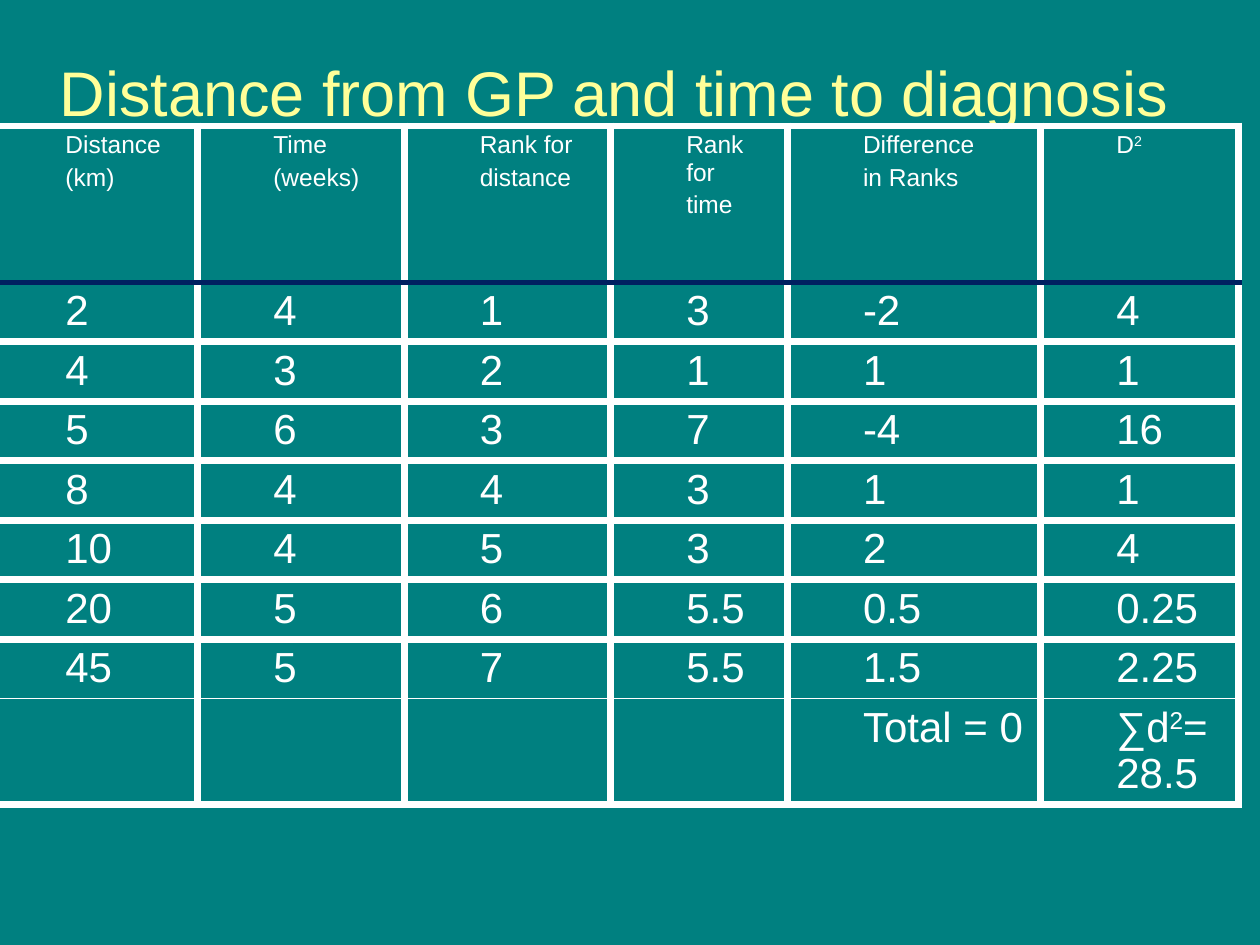
import dataclasses

import lxml.etree
import pptx
import pptx.dml.color
import pptx.enum.text
import pptx.oxml.ns
import pptx.util

Pt = pptx.util.Pt
FONT = "Arial"
COLORS = {"back": "008080", "title": "FFFF99", "text": "FFFFFF", "rule": "002060"}


@dataclasses.dataclass
class Line:
    color: str
    width: float


@dataclasses.dataclass
class Band:
    """One table row; ^ marks the start and end of a superscript."""
    cells: list[str]
    height: float
    size: float
    gap: float
    top: Line
    base: Line


THICK = Line("text", 4.48)
THIN = Line("text", 0.96)
NAVY = Line("rule", 3)

HEADS = ["Distance\n(km)", "Time\n(weeks)", "Rank for\ndistance",
         "Rank for\ntime", "Difference\nin Ranks", "D^2^"]
RANKS = [
    ["2", "4", "1", "3", "-2", "4"],
    ["4", "3", "2", "1", "1", "1"],
    ["5", "6", "3", "7", "-4", "16"],
    ["8", "4", "4", "3", "1", "1"],
    ["10", "4", "5", "3", "2", "4"],
    ["20", "5", "6", "5.5", "0.5", "0.25"],
    ["45", "5", "7", "5.5", "1.5", "2.25"],
]
TOTALS = ["", "", "", "", "Total = 0", "∑d^2^=28.5"]
WIDTHS = [118.8, 118, 118, 101, 144.8, 113]


def rgb(key: str) -> pptx.dml.color.RGBColor:
    return pptx.dml.color.RGBColor.from_string(COLORS[key])


def style(para, size: float, color: str) -> None:
    para.font.name = FONT
    para.font.size = Pt(size)
    para.font.color.rgb = rgb(color)


def edge(cell, lines: dict[str, Line]) -> None:
    """Add the cell borders, ahead of the fill."""
    props = cell._tc.get_or_add_tcPr()
    for spot, (side, line) in enumerate(lines.items()):
        node = lxml.etree.Element(pptx.oxml.ns.qn(f"a:ln{side}"), w=str(int(Pt(line.width))))
        fill = lxml.etree.SubElement(node, pptx.oxml.ns.qn("a:solidFill"))
        lxml.etree.SubElement(fill, pptx.oxml.ns.qn("a:srgbClr"), val=COLORS[line.color])
        props.insert(spot, node)


def write(cell, text: str, band: Band) -> None:
    cell.margin_top = cell.margin_bottom = Pt(3.2)
    frame = cell.text_frame
    for order, words in enumerate(text.split("\n")):
        para = frame.add_paragraph() if order else frame.paragraphs[0]
        props = para._p.get_or_add_pPr()
        props.set("marL", str(int(Pt(36))))
        props.set("indent", "0")
        if order:
            para.space_before = Pt(band.gap)
        style(para, band.size, "text")
        for turn, piece in enumerate(words.split("^")):
            if piece:
                run = para.add_run()
                run.text = piece
                if turn % 2:
                    run.font._element.set("baseline", "30000")


def draw(slide, bands: list[Band]) -> None:
    frame = slide.shapes.add_table(
        len(bands), len(WIDTHS), Pt(-5.8), Pt(72),
        Pt(sum(WIDTHS)), Pt(sum(band.height for band in bands)))
    table = frame.table
    table.first_row = table.horz_banding = False
    for column, width in zip(table.columns, WIDTHS):
        column.width = Pt(width)
    for row, band in zip(table.rows, bands):
        row.height = Pt(band.height)
        for cell, text in zip(row.cells, band.cells):
            cell.fill.background()
            edge(cell, {"L": THICK, "R": THICK, "T": band.top, "B": band.base})
            write(cell, text, band)


def main() -> None:
    deck = pptx.Presentation()
    deck.slide_width, deck.slide_height = Pt(720), Pt(540)
    slide = deck.slides.add_slide(deck.slide_layouts[5])
    slide.background.fill.solid()
    slide.background.fill.fore_color.rgb = rgb("back")

    # Title
    title = slide.shapes.title
    title.left, title.top, title.width, title.height = Pt(0), Pt(-2), Pt(702), Pt(108.6)
    title.text_frame.text = "Distance from GP and time to diagnosis"
    title.text_frame.vertical_anchor = pptx.enum.text.MSO_ANCHOR.MIDDLE
    para = title.text_frame.paragraphs[0]
    para.alignment = pptx.enum.text.PP_ALIGN.CENTER
    style(para, 36, "title")

    # Table of ranks
    last = len(RANKS) - 1
    body = [Band(cells, 34, 24, 4.8, THICK if n else NAVY, THIN if n == last else THICK)
            for n, cells in enumerate(RANKS)]
    head = Band(HEADS, 89.3, 14, 2.8, THICK, NAVY)
    foot = Band(TOTALS, 60.5, 24, 4.8, THIN, THICK)
    draw(slide, [head, *body, foot])

    deck.save("out.pptx")


if __name__ == "__main__":
    main()
